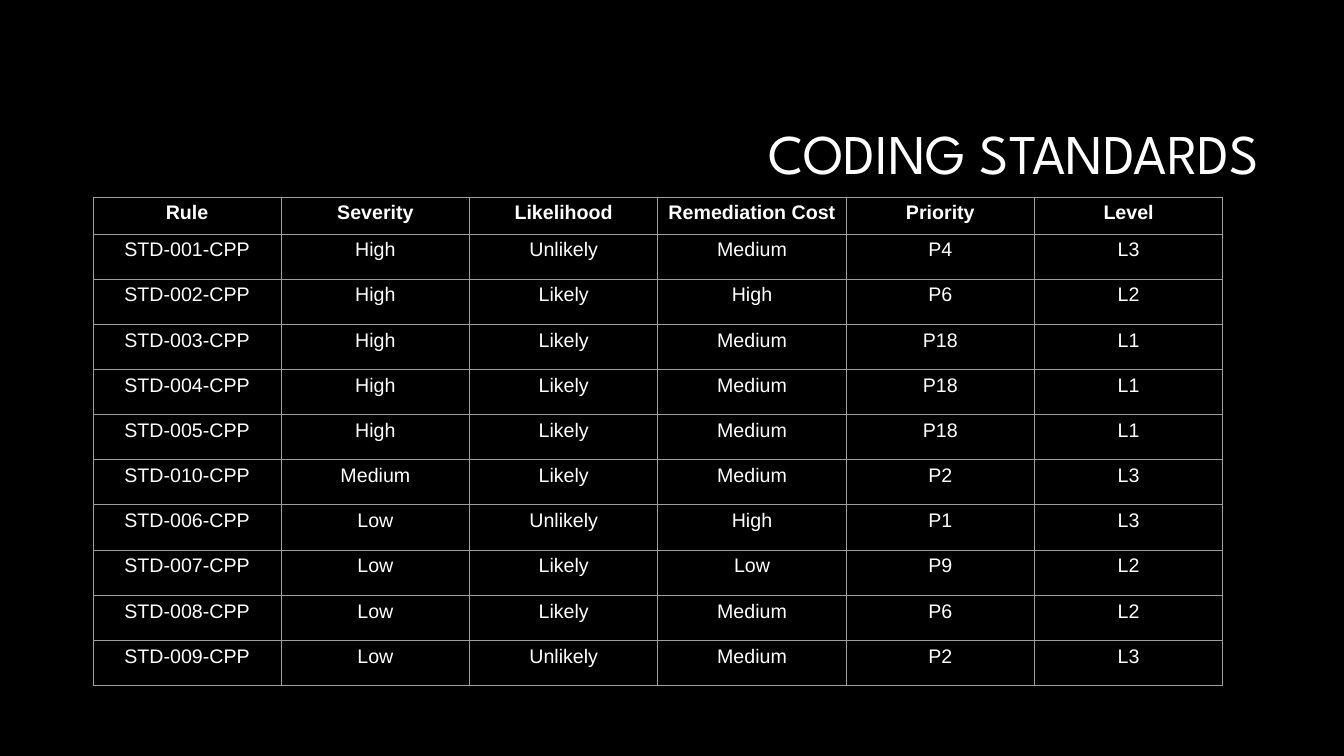
from pptx import Presentation
from pptx.dml.color import RGBColor
from pptx.enum.text import MSO_ANCHOR as Anchor, PP_ALIGN as Align
from pptx.oxml.ns import qn
from pptx.util import Inches, Pt
from lxml.etree import SubElement

BLACK = RGBColor(0x00, 0x00, 0x00)
WHITE = RGBColor(0xFF, 0xFF, 0xFF)
GRID_GREY = RGBColor(0x9E, 0x9E, 0x9E)

EMU_PER_PX = Inches(7.5) / 756

HEADINGS = ("Rule", "Severity", "Likelihood", "Remediation Cost", "Priority", "Level")
STANDARDS = (
    ("STD-001-CPP", "High", "Unlikely", "Medium", "P4", "L3"),
    ("STD-002-CPP", "High", "Likely", "High", "P6", "L2"),
    ("STD-003-CPP", "High", "Likely", "Medium", "P18", "L1"),
    ("STD-004-CPP", "High", "Likely", "Medium", "P18", "L1"),
    ("STD-005-CPP", "High", "Likely", "Medium", "P18", "L1"),
    ("STD-010-CPP", "Medium", "Likely", "Medium", "P2", "L3"),
    ("STD-006-CPP", "Low", "Unlikely", "High", "P1", "L3"),
    ("STD-007-CPP", "Low", "Likely", "Low", "P9", "L2"),
    ("STD-008-CPP", "Low", "Likely", "Medium", "P6", "L2"),
    ("STD-009-CPP", "Low", "Unlikely", "Medium", "P2", "L3"),
)


def px(length):
    return round(length * EMU_PER_PX)


def apply(target, formats):
    for attribute, value in formats.items():
        setattr(target, attribute, value)


class StandardsSlide:
    title_font = {"name": "League Spartan", "size": Pt(40), "bold": False}
    cell_font = {"name": "Arial", "size": Pt(14)}
    title_margins = {"margin_left": px(10), "margin_right": px(10),
                     "margin_top": px(5), "margin_bottom": px(5)}
    cell_margins = {"margin_left": px(5), "margin_right": px(5),
                    "margin_top": px(5), "margin_bottom": px(5)}

    def __init__(self, deck):
        self.slide = deck.slides.add_slide(deck.slide_layouts[6])
        backdrop = self.slide.background.fill
        backdrop.solid()
        backdrop.fore_color.rgb = BLACK

    def label(self, paragraph, text, font, **layout):
        run = paragraph.add_run()
        run.text = text
        apply(paragraph, layout)
        apply(run.font, font)
        run.font.color.rgb = WHITE

    def title(self, text, left, top, width, height):
        heading = self.slide.shapes.add_textbox(*map(px, (left, top, width, height)))
        frame = heading.text_frame
        apply(frame, {"word_wrap": True, "vertical_anchor": Anchor.MIDDLE,
                      **self.title_margins})
        self.label(frame.paragraphs[0], text, self.title_font,
                   alignment=Align.RIGHT, line_spacing=0.9)

    def table(self, headings, records, left, top, width, header_height, body_height):
        rows = (headings, *records)
        grid = self.slide.shapes.add_table(
            len(rows), len(headings),
            *map(px, (left, top, width, header_height + body_height))).table
        apply(grid, {"first_row": False, "horz_banding": False})
        for column in grid.columns:
            column.width = px(width / len(headings))
        for index, (row, values) in enumerate(zip(grid.rows, rows)):
            is_header = index == 0
            row.height = px(header_height if is_header else body_height / len(records))
            for cell, text in zip(row.cells, values):
                self.cell(cell, text, is_header)

    def cell(self, cell, text, bold):
        apply(cell, {"vertical_anchor": Anchor.TOP, **self.cell_margins})
        self.label(cell.text_frame.paragraphs[0], text,
                   {**self.cell_font, "bold": bold}, alignment=Align.CENTER)
        self.borders(cell)
        cell.fill.background()

    def borders(self, cell):
        properties = cell._tc.get_or_add_tcPr()
        for side in ("a:lnL", "a:lnR", "a:lnT", "a:lnB"):
            line = SubElement(properties, qn(side), w=str(Pt(0.75)))
            paint = SubElement(line, qn("a:solidFill"))
            SubElement(paint, qn("a:srgbClr"), val=str(GRID_GREY))


def main():
    deck = Presentation()
    apply(deck, {"slide_width": px(1344), "slide_height": px(756)})
    page = StandardsSlide(deck)
    page.title("CODING STANDARDS", 320, 85, 949, 142)
    page.table(HEADINGS, STANDARDS, 93, 197, 1130, 37, 452)
    deck.save("out.pptx")


if __name__ == "__main__":
    main()
